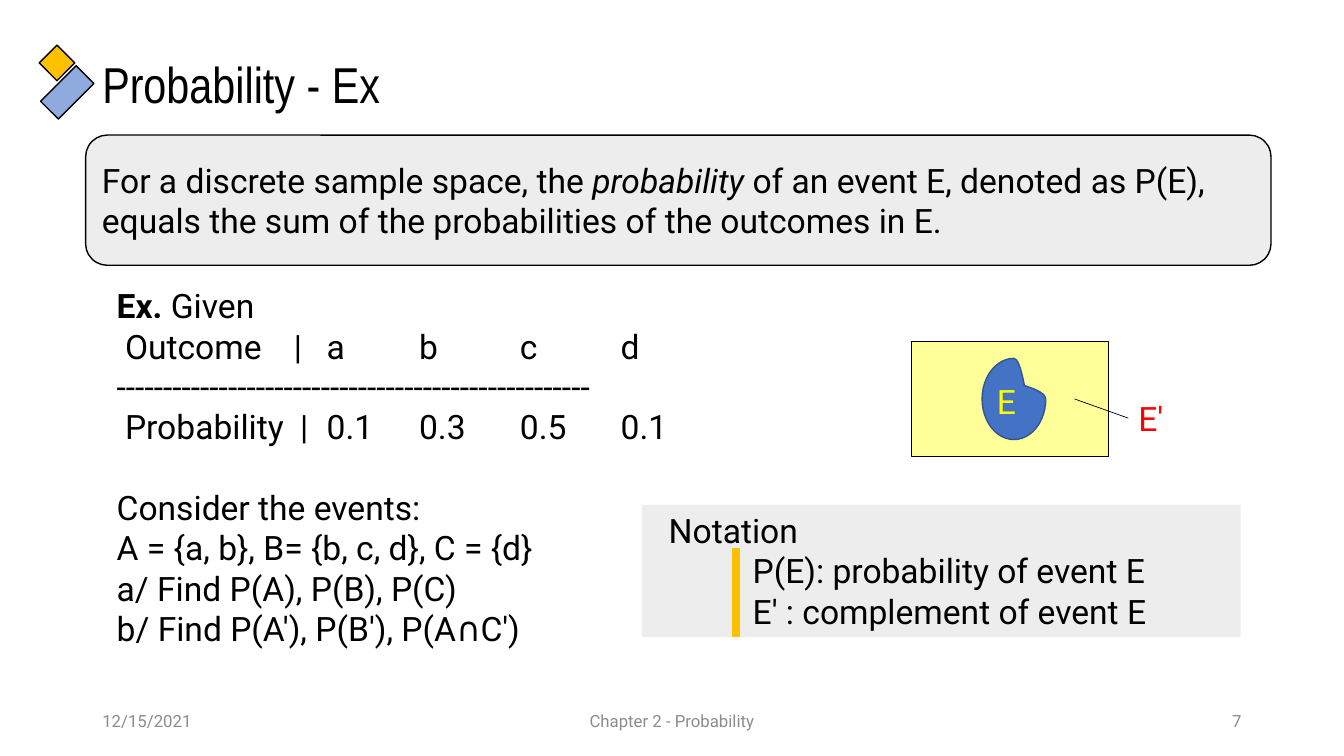
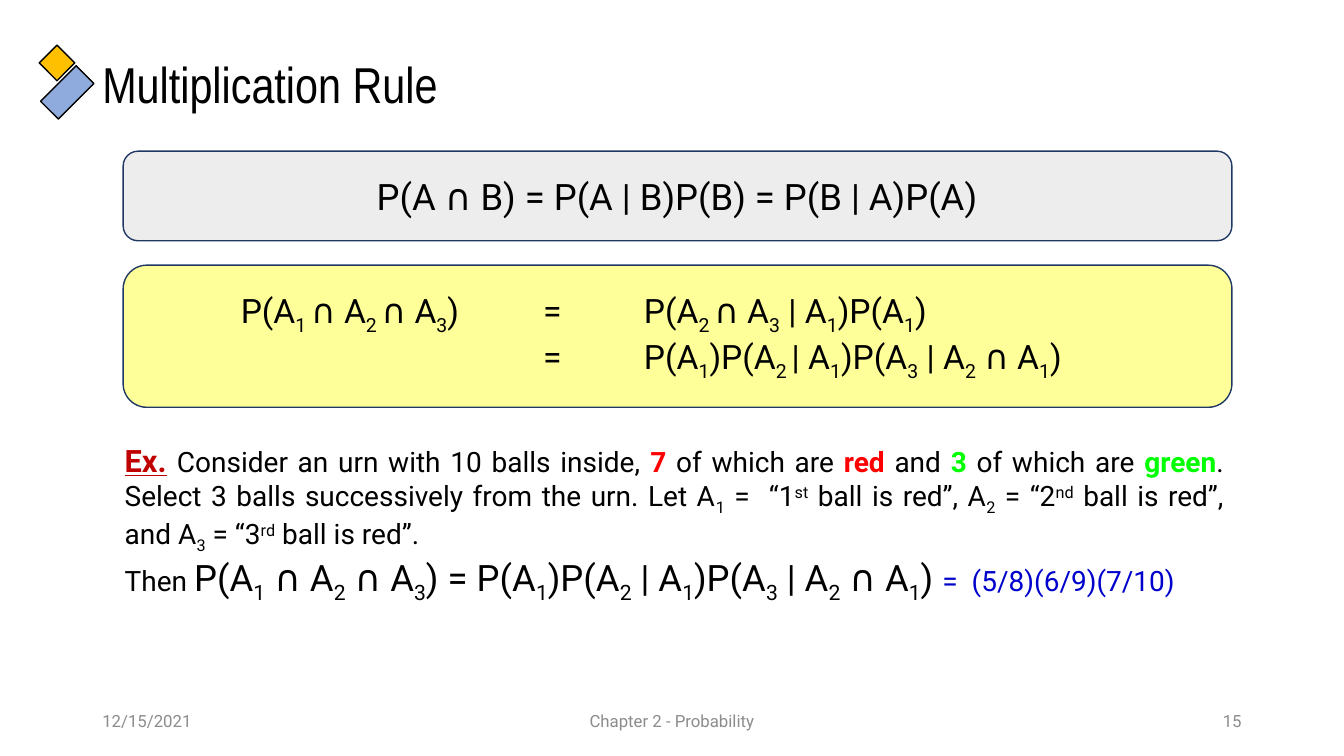
from lxml import etree
from pptx import Presentation
from pptx.dml.color import RGBColor
from pptx.enum.shapes import MSO_CONNECTOR, MSO_SHAPE
from pptx.enum.text import MSO_ANCHOR, PP_ALIGN
from pptx.oxml.ns import qn
from pptx.util import Pt

RECT, ROUND, TEAR = MSO_SHAPE.RECTANGLE, MSO_SHAPE.ROUNDED_RECTANGLE, MSO_SHAPE.TEAR
LINE = MSO_CONNECTOR.STRAIGHT
TOP, MID = MSO_ANCHOR.TOP, MSO_ANCHOR.MIDDLE
LEFT, CENTER, RIGHT, JUST = (PP_ALIGN.LEFT, PP_ALIGN.CENTER,
                             PP_ALIGN.RIGHT, PP_ALIGN.JUSTIFY)

BLACK = RGBColor(0x00, 0x00, 0x00)
GRAY = RGBColor(0x8C, 0x8C, 0x8C)
PALE = RGBColor(0xED, 0xED, 0xED)
SKY = RGBColor(0x8F, 0xAA, 0xDC)
BLUE = RGBColor(0x44, 0x72, 0xC4)
DEEP = RGBColor(0x32, 0x54, 0x91)
NAVY = RGBColor(0x20, 0x38, 0x64)
INK = RGBColor(0x00, 0x00, 0xCC)
GOLD = RGBColor(0xFF, 0xC0, 0x00)
CREAM = RGBColor(0xFF, 0xFF, 0x99)
YELLOW = RGBColor(0xFF, 0xFF, 0x00)
RED = RGBColor(0xFF, 0x00, 0x00)
WINE = RGBColor(0xC0, 0x00, 0x00)
GREEN = RGBColor(0x00, 0xFF, 0x00)

BODY, HEAD = "Roboto", "Arial Narrow"
WIDE, HIGH = 960, 540
EDGE = 66


# Text helpers
def add_run(para, text, size=24, color=BLACK, font=BODY, **marks):
    """Add text; parts between tildes are sub- (digits) or superscript."""
    for i, part in enumerate(text.split("~")):
        if not part:
            continue
        run = para.add_run()
        run.text = part
        run.font.size, run.font.name = Pt(size), font
        run.font.color.rgb = color
        for name, value in marks.items():
            setattr(run.font, name, value)
        if i % 2:
            shift = "-25000" if part.strip().isdigit() else "30000"
            run.font._element.set("baseline", shift)


def add_para(frame, *runs, align=LEFT, before=0, indent=0, tabs=(), **style):
    """Add a paragraph of runs: plain strings or (text, style) pairs."""
    para = frame.paragraphs[0]
    if para.runs:
        para = frame.add_paragraph()
    para.alignment = align
    para.space_before = Pt(before)
    props = para._p.get_or_add_pPr()
    props.set("marL", str(Pt(indent)))
    if tabs:
        stops = etree.SubElement(props, qn("a:tabLst"))
        for pos in tabs:
            etree.SubElement(stops, qn("a:tab"), pos=str(Pt(pos)), algn="l")
    for item in runs:
        text, own = (item, {}) if isinstance(item, str) else item
        add_run(para, text, **{**style, **own})
    return para


def add_box(slide, box, anchor=TOP):
    shape = slide.shapes.add_textbox(*map(Pt, box))
    shape.text_frame.word_wrap = True
    shape.text_frame.vertical_anchor = anchor
    return shape


# Shape helpers
def add_form(slide, kind, box, fill, line=None, turn=0, anchor=MID):
    shape = slide.shapes.add_shape(kind, *map(Pt, box))
    shape.shadow.inherit = False
    shape.rotation = turn
    shape.fill.solid()
    shape.fill.fore_color.rgb = fill
    if line is None:
        shape.line.fill.background()
    else:
        shape.line.color.rgb = line
        shape.line.width = Pt(1)
    shape.text_frame.word_wrap = True
    shape.text_frame.vertical_anchor = anchor
    return shape


def add_line(slide, start, end, color, width):
    line = slide.shapes.add_connector(LINE, *map(Pt, start + end))
    line.line.color.rgb = color
    line.line.width = Pt(width)
    etree.SubElement(line._element.spPr, qn("a:effectLst"))
    return line


# Parts shared by all slides
def add_frame(deck, title, number):
    slide = deck.slides.add_slide(deck.slide_layouts[6])
    add_form(slide, RECT, (30, 57, 36, 18), SKY, BLACK, 135)
    add_form(slide, RECT, (31.7, 36, 18, 18), GOLD, BLACK, 45)
    head = add_box(slide, (EDGE, 10, 828, 104.4), MID)
    para = add_para(head.text_frame, title, size=36, font=HEAD)
    para.line_spacing = 0.9
    for text, left, width, align in (
            ("12/15/2021", EDGE, 216, LEFT),
            ("Chapter 2 - Probability", (WIDE - 324) / 2, 324, CENTER),
            (number, WIDE - EDGE - 216, 216, RIGHT)):
        foot = add_box(slide, (left, 500.5, width, 28.8), MID)
        add_para(foot.text_frame, text, align=align, size=12, color=GRAY)
    return slide


# Probability slide
def add_task(slide, box):
    frame = add_box(slide, box).text_frame
    cols = (150, 216, 288, 360)
    add_para(frame, ("Ex.", {"bold": True}), " Given")
    add_para(frame, " Outcome\t|\ta\tb\tc\td", tabs=(126.5,) + cols)
    add_para(frame, "-" * 51)
    add_para(frame, " Probability\t|\t0.1\t0.3\t0.5\t0.1", tabs=(131,) + cols)
    add_para(frame, "Consider the events:", before=28.8)
    for text in ("A = {a, b}, B= {b, c, d}, C = {d}",
                 "a/ Find P(A), P(B), P(C)",
                 "b/ Find P(A′), P(B′), P(A∩C′)"):
        add_para(frame, text)


def add_note(slide, box):
    left, top, width, height = box
    frame = add_form(slide, RECT, box, PALE, anchor=TOP).text_frame
    add_para(frame, "Notation", indent=12)
    for text in ("P(E): probability of event E", "E′ : complement of event E"):
        add_para(frame, text, indent=72)
    bar = left + 67
    add_line(slide, (bar, top + 31), (bar, top + height), GOLD, 6)


def add_venn(slide, box):
    left, top, width, height = box
    add_form(slide, RECT, box, CREAM, BLACK)
    drop = add_form(slide, TEAR, (left + 50.5, top + 12, 45.5, 58), BLUE, DEEP)
    drop.adjustments[0] = 0.33
    event = add_box(slide, (left + 54, top + 24.5, 31, 36))
    add_para(event.text_frame, "E", color=YELLOW)
    rest = add_box(slide, (left + 155, top + 36.7, 36.7, 36))
    add_para(rest.text_frame, "E′", color=RED)
    line = add_line(slide, (left + 116.6, top + 41),
                    (left + 155, top + 54.7), BLACK, 0.5)
    line.end_connect(rest, 1)


def add_chance(deck):
    slide = add_frame(deck, "Probability - Ex", "7")
    add_task(slide, (76.3, 200.2, 426, 269))
    add_note(slide, (458.6, 360.7, 427.7, 94.3))
    add_venn(slide, (651, 244, 141, 82))
    rule = add_form(slide, ROUND, (61.2, 96.5, 846.7, 93), PALE, BLACK)
    add_para(rule.text_frame, "For a discrete sample space, the ",
             ("probability", {"italic": True}),
             " of an event E, denoted as P(E), equals the sum of the "
             "probabilities of the outcomes in E.")


# Multiplication slide
def add_urn(slide, box):
    frame = add_box(slide, box).text_frame
    red, green = ({"color": c, "bold": True} for c in (RED, GREEN))
    add_para(frame,
             ("Ex.", {"size": 22, "color": WINE, "bold": True,
                      "underline": True}),
             (" ", {"size": 22}),
             "Consider an urn with 10 balls inside, ", ("7", red),
             " of which are ", ("red", red), " and ", ("3", green),
             " of which are ", ("green", green),
             ". Select 3 balls successively from the urn. Let A~1~ =  "
             "“1~st~ ball is red”, A~2~ = “2~nd~ ball is red”, "
             "and A~3~ = “3~rd~ ball is red”.", align=JUST, size=20)
    add_para(frame, "Then ",
             ("P(A~1~ ∩ A~2~ ∩ A~3~) = P(A~1~)P(A~2~ | A~1~)"
              "P(A~3~ | A~2~ ∩ A~1~) ", {"size": 26}),
             ("=  (5/8)(6/9)(7/10)", {"color": INK}), align=JUST, size=20)


def add_product(deck):
    slide = add_frame(deck, "Multiplication Rule", "15")
    left, width = 88, 792
    add_urn(slide, (82, 311.8, 799.2, 113.8))
    pair = add_form(slide, ROUND, (left, 108, width, 64), PALE, NAVY)
    add_para(pair.text_frame, "P(A ∩ B) = P(A | B)P(B) = P(B | A)P(A)",
             align=CENTER, size=26)
    chain = add_form(slide, ROUND, (left, 189.4, width, 101.5), CREAM, NAVY)
    frame, cols = chain.text_frame, (72, 288, 360)
    add_para(frame, "\tP(A~1 ~∩ A~2 ~∩ A~3~)\t=\t"
             "P(A~2 ~∩ A~3~ | A~1~)P(A~1~)", tabs=cols)
    add_para(frame, "\t=\tP(A~1~)P(A~2 ~| A~1~)P(A~3~ | A~2~ ∩ A~1~)",
             tabs=cols[1:])


def main():
    deck = Presentation()
    deck.slide_width, deck.slide_height = Pt(WIDE), Pt(HIGH)
    add_chance(deck)
    add_product(deck)
    deck.save("out.pptx")


if __name__ == "__main__":
    main()
